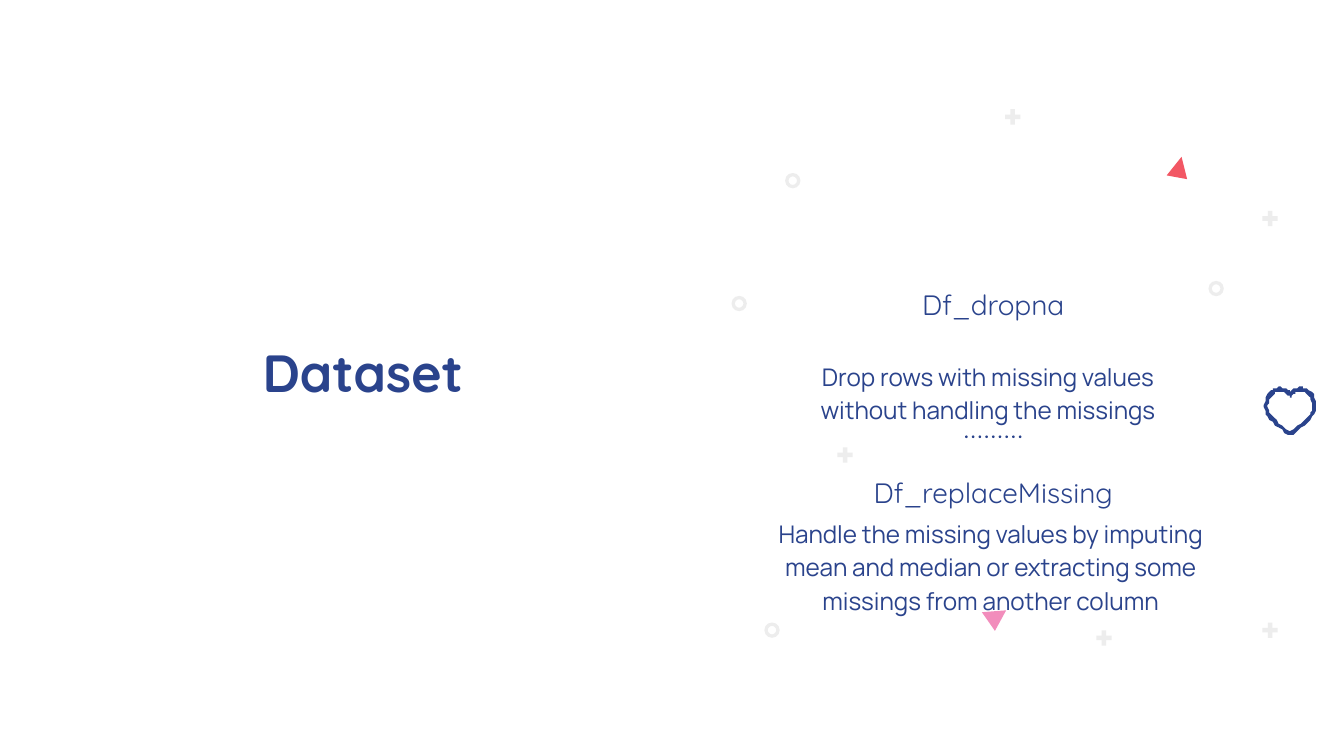
"""Build the Dataset slide with two missing-value strategies."""
from dataclasses import dataclass

from pptx import Presentation
from pptx.dml.color import RGBColor
from pptx.enum.shapes import MSO_SHAPE
from pptx.enum.text import MSO_ANCHOR, MSO_AUTO_SIZE, PP_ALIGN
from pptx.shapes.autoshape import Shape
from pptx.slide import Slide
from pptx.text.text import TextFrame
from pptx.util import Pt

CROSS, DONUT, OVAL = MSO_SHAPE.CROSS, MSO_SHAPE.DONUT, MSO_SHAPE.OVAL
TOP, CENTER, NO_FIT = MSO_ANCHOR.TOP, PP_ALIGN.CENTER, MSO_AUTO_SIZE.NONE
TITLE_ONLY = 5

Point = tuple[float, float]
Curve = tuple[float, float, float, float, float, float]


@dataclass(frozen=True)
class TextStyle:
    """Describe a type style."""
    font: str
    size: float
    bold: bool = False
    line_spacing: float = 1.15
    space_after: float = 16


@dataclass(frozen=True)
class Theme:
    """Hold the colours and type styles of the slide."""
    navy: RGBColor = RGBColor(0x2A, 0x43, 0x8C)
    grey: RGBColor = RGBColor(0xED, 0xED, 0xED)
    pink: RGBColor = RGBColor(0xF2, 0x8D, 0xBC)
    red: RGBColor = RGBColor(0xF2, 0x57, 0x64)
    white: RGBColor = RGBColor(0xFF, 0xFF, 0xFF)
    title: TextStyle = TextStyle("Quicksand", 28, True, 1, 0)
    heading: TextStyle = TextStyle("Quicksand", 15)
    body: TextStyle = TextStyle("Manrope", 13)


@dataclass(frozen=True)
class Label:
    """Describe a text box."""
    text: str
    left: float
    top: float
    width: float
    height: float
    style: TextStyle


@dataclass(frozen=True)
class Mark:
    """Describe a preset ornament and the share its adjustment takes."""
    shape: MSO_SHAPE
    size: float
    color: RGBColor
    adjustment: float | None
    places: list[Point]


@dataclass(frozen=True)
class Triangle:
    """Describe a coloured triangle."""
    color: RGBColor
    corners: list[Point]


THEME = Theme()
TITLE = Label("Dataset", 62.6, 175, 263.5, 32.4, THEME.title)
LABELS = [
    Label("Drop rows with missing values without handling the missings",
          409.7, 184.3, 239, 56.2, THEME.body),
    Label("Handle the missing values by imputing mean and median or extracting "
          "some missings from another column", 409.7, 268.6, 241.9, 87.1, THEME.body),
    Label("Df_dropna", 412.6, 144, 239, 23.8, THEME.heading),
    Label("Df_replaceMissing", 412.6, 244.8, 239, 23.8, THEME.heading),
]
DOTS = Mark(OVAL, 1.4, THEME.navy, None, [(517 + 3.6 * i, 233.3) for i in range(9)])
RINGS = Mark(DONUT, 8.2, THEME.grey, 0.22,
             [(647.4, 150.5), (420.6, 92.7), (391.9, 158.5), (409.5, 333.5)])
PLUSES = Mark(CROSS, 8.2, THEME.grey, 0.35,
              [(676.3, 113), (538.4, 58.5), (448.6, 239.6), (676.3, 333.5), (587.3, 337.7)])
TRIANGLES = [
    Triangle(THEME.pink, [(538.6, 326.9), (525.6, 328.3), (532.8, 337.7)]),
    Triangle(THEME.red, [(636.5, 96.5), (632.9, 84.2), (625, 93.6)]),
]
HEART_TOP: Point = (691.2, 207.4)
HEART_OUTER: list[Curve] = [
    (1.4, 0.7, 3.6, 0, 5.8, 0), (7.2, 0, 8.6, 0.7, 10.1, 1.4),
    (13.7, 4.3, 15.1, 10.1, 13, 14.4), (11.5, 18, 5, 23, 1.4, 25.2),
    (1.4, 25.9, 0.7, 25.9, 0, 25.9),
]
HEART_INNER: list[Curve] = [
    (0.2, 5.5, 0.5, 5.2, 0.7, 5), (2.2, 3.6, 3.6, 2.2, 5, 2.2),
    (6.5, 2.2, 7.9, 2.9, 8.6, 3.6), (11.5, 5.8, 13, 10.1, 10.8, 13.7),
    (10.1, 15.8, 5.8, 19.4, 0, 23.8),
]


def paint(shape: Shape, color: RGBColor) -> None:
    """Give a shape a flat fill without line or shadow."""
    shape.shadow.inherit = False
    shape.fill.solid()
    shape.fill.fore_color.rgb = color
    shape.line.fill.background()


def write(frame: TextFrame, label: Label) -> None:
    """Set and format the text of a label."""
    frame.word_wrap = True
    frame.auto_size = NO_FIT
    frame.vertical_anchor = TOP
    frame.margin_left = frame.margin_right = Pt(7.2)
    frame.margin_top = frame.margin_bottom = Pt(7.2)
    frame.text = label.text
    para = frame.paragraphs[0]
    para.alignment = CENTER
    para.line_spacing = label.style.line_spacing
    para.space_after = Pt(label.style.space_after)
    font = para.runs[0].font
    font.name = label.style.font
    font.size = Pt(label.style.size)
    font.bold = label.style.bold
    font.color.rgb = THEME.navy


def add_title(page: Slide, label: Label) -> None:
    """Move and fill the title placeholder."""
    title = page.shapes.title
    title.left, title.top = Pt(label.left), Pt(label.top)
    title.width, title.height = Pt(label.width), Pt(label.height)
    write(title.text_frame, label)


def add_label(page: Slide, label: Label) -> None:
    """Add a text box for a label."""
    box = page.shapes.add_textbox(
        Pt(label.left), Pt(label.top), Pt(label.width), Pt(label.height))
    write(box.text_frame, label)


def add_marks(page: Slide, mark: Mark) -> None:
    """Draw an ornament at each of its places."""
    for left, top in mark.places:
        shape = page.shapes.add_shape(
            mark.shape, Pt(left), Pt(top), Pt(mark.size), Pt(mark.size))
        if mark.adjustment is not None:
            shape.adjustments[0] = mark.adjustment
        paint(shape, mark.color)


def add_outline(page: Slide, contours: list[list[Point]], color: RGBColor) -> None:
    """Draw closed contours as one filled shape."""
    first, *others = contours
    builder = page.shapes.build_freeform(*first[0], scale=Pt(1))
    builder.add_line_segments(first[1:], close=True)
    for contour in others:
        builder.move_to(*contour[0])
        builder.add_line_segments(contour[1:], close=True)
    paint(builder.convert_to_shape(), color)


def heart_contour(notch: float, curves: list[Curve], steps: int = 8) -> list[Point]:
    """Sample the right half of a heart and mirror it."""
    half: list[Point] = [(0, notch)]
    for ax, ay, bx, by, end_x, end_y in curves:
        start_x, start_y = half[-1]
        for step in range(1, steps + 1):
            t = step / steps
            u = 1 - t
            half.append((
                u**3 * start_x + 3 * u * u * t * ax + 3 * u * t * t * bx + t**3 * end_x,
                u**3 * start_y + 3 * u * u * t * ay + 3 * u * t * t * by + t**3 * end_y))
    mirrored = [(-x, y) for x, y in reversed(half[1:-1])]
    center, top = HEART_TOP
    return [(center + x, top + y) for x, y in half + mirrored]


def main() -> None:
    """Build and save the deck."""
    deck = Presentation()
    deck.slide_width, deck.slide_height = Pt(720), Pt(405)
    page = deck.slides.add_slide(deck.slide_layouts[TITLE_ONLY])
    page.background.fill.solid()
    page.background.fill.fore_color.rgb = THEME.white
    add_marks(page, DOTS)
    add_title(page, TITLE)
    for label in LABELS:
        add_label(page, label)
    for triangle in TRIANGLES:
        add_outline(page, [triangle.corners], triangle.color)
    add_outline(page, [heart_contour(2.2, HEART_OUTER), heart_contour(5.8, HEART_INNER)],
                THEME.navy)
    for mark in (RINGS, PLUSES):
        add_marks(page, mark)
    deck.save("out.pptx")


if __name__ == "__main__":
    main()
